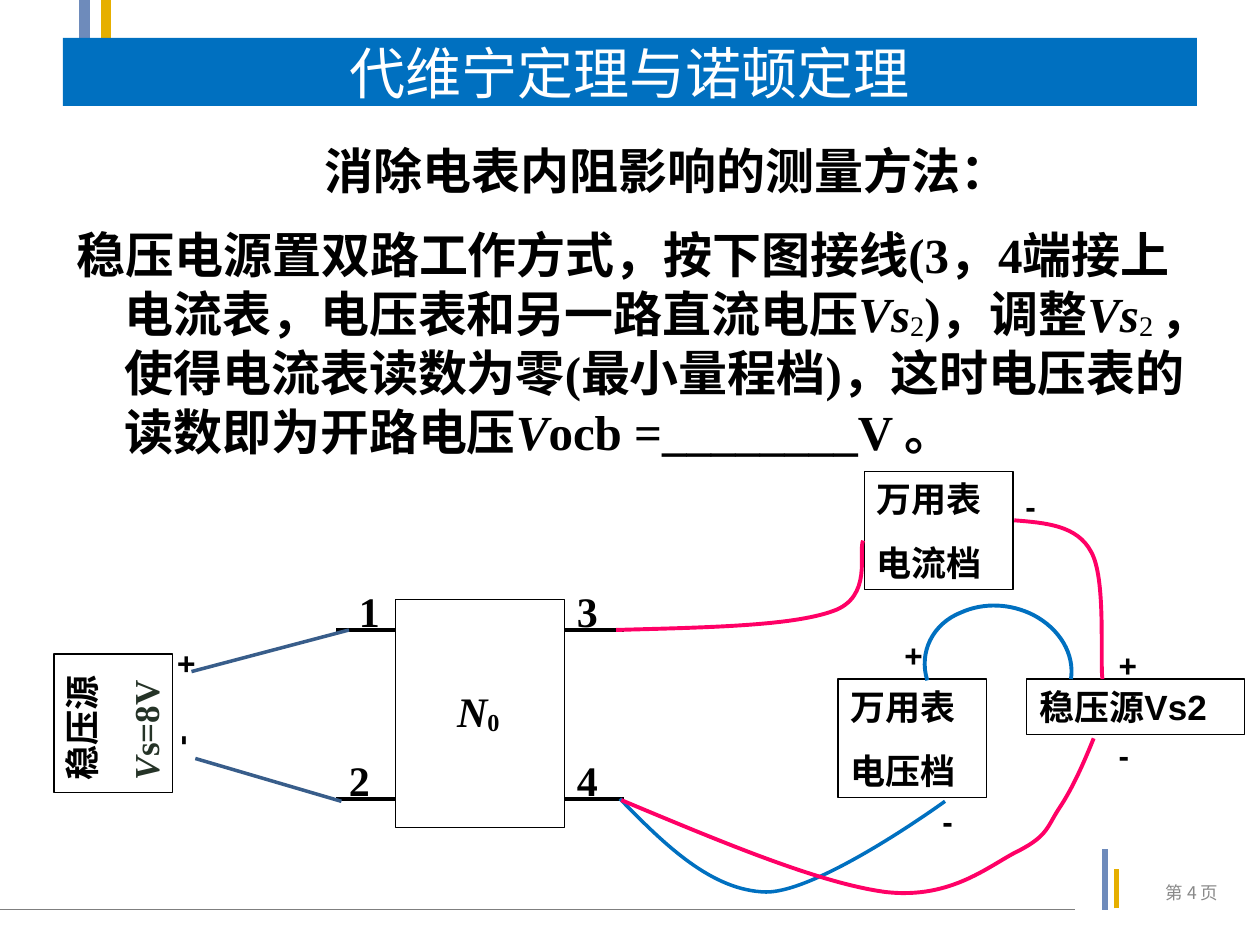
from dataclasses import dataclass

import lxml.etree
import pptx
import pptx.dml.color
import pptx.enum.shapes
import pptx.enum.text
import pptx.oxml.ns
import pptx.util

RGBColor = pptx.dml.color.RGBColor
Align = pptx.enum.text.PP_ALIGN
Anchor = pptx.enum.text.MSO_ANCHOR
qn = pptx.oxml.ns.qn

BLACK = RGBColor(0x00, 0x00, 0x00)
WHITE = RGBColor(0xFF, 0xFF, 0xFF)
BLUE = RGBColor(0x00, 0x70, 0xC0)
PINK = RGBColor(0xFF, 0x00, 0x66)
STEEL = RGBColor(0x38, 0x5D, 0x8A)
SOFT_BLUE = RGBColor(0x6E, 0x8B, 0xBB)
GOLD = RGBColor(0xE6, 0xAF, 0x00)
RULE_GRAY = RGBColor(0x7F, 0x7F, 0x7F)
PAGE_GRAY = RGBColor(0x89, 0x89, 0x89)
DARK_GREEN = RGBColor(0x25, 0x33, 0x27)

SANS, SERIF, CJK, CJK_JP = "Arial", "Times New Roman", "Noto Sans CJK SC", "Noto Sans CJK JP"

COLUMNS, ROWS = 100, 75  # square grid cells over the whole slide

presentation = pptx.Presentation()
presentation.slide_width = pptx.util.Inches(10)
presentation.slide_height = pptx.util.Inches(7.5)
slide = presentation.slides.add_slide(presentation.slide_layouts[6])

Point = tuple[float, float]
Area = tuple[float, float, float, float]  # left, top, width, height in cells


@dataclass
class Run:
    text: str
    italic: bool | None = None
    subscript: bool = False
    bold: bool | None = None


@dataclass
class Style:
    size: float
    font: str = SANS
    color: RGBColor = BLACK
    bold: bool = True
    before: float = 0
    align: Align = Align.LEFT
    spacing: float | None = None
    hanging: float = 0


METER = Style(20, before=12.5)
SIGN = Style(18, before=11.2)
TERMINAL = Style(24, SERIF, before=15)


def column(count: float) -> int:
    return round(presentation.slide_width * count / COLUMNS)


def row(count: float) -> int:
    return round(presentation.slide_height * count / ROWS)


def place(area: Area) -> tuple[int, int, int, int]:
    left, top, width, height = area
    return column(left), row(top), column(width), row(height)


def write_paragraph(paragraph, runs: list[Run], style: Style) -> None:
    paragraph.alignment = style.align
    paragraph.space_before = pptx.util.Pt(style.before)
    if style.spacing:
        paragraph.line_spacing = style.spacing
    font = paragraph.font
    font.size, font.bold = pptx.util.Pt(style.size), style.bold
    font.name, font.color.rgb = style.font, style.color
    properties = paragraph._p.get_or_add_pPr()
    east_asian = lxml.etree.SubElement(properties.find(qn("a:defRPr")), qn("a:ea"))
    east_asian.set("typeface", style.font if style.font == CJK_JP else CJK)
    if style.hanging:
        properties.set("marL", str(column(style.hanging)))
        properties.set("indent", str(-column(style.hanging)))
    for item in runs:
        run = paragraph.add_run()
        run.text = item.text
        run.font.italic, run.font.bold = item.italic, item.bold
        if item.subscript:
            run._r.get_or_add_rPr().set("baseline", "-10000")


def write_frame(shape, paragraphs: list[tuple[list[Run], Style]],
                anchor: Anchor = Anchor.TOP, wrap: bool = True) -> None:
    frame = shape.text_frame
    frame.word_wrap, frame.vertical_anchor = wrap, anchor
    for index, (runs, style) in enumerate(paragraphs):
        paragraph = frame.add_paragraph() if index else frame.paragraphs[0]
        write_paragraph(paragraph, runs, style)


def add_text(area: Area, runs: list[Run], style: Style, rotation: float = 0,
             anchor: Anchor = Anchor.TOP, wrap: bool = True) -> None:
    box = slide.shapes.add_textbox(*place(area))
    box.rotation = rotation
    write_frame(box, [(runs, style)], anchor, wrap)


def add_box(area: Area, fill: RGBColor | None = None, line: RGBColor | None = BLACK):
    box = slide.shapes.add_shape(pptx.enum.shapes.MSO_SHAPE.RECTANGLE, *place(area))
    box.shadow.inherit = False
    if fill is None:
        box.fill.background()
    else:
        box.fill.solid()
        box.fill.fore_color.rgb = fill
    if line is None:
        box.line.fill.background()
    else:
        box.line.color.rgb, box.line.width = line, pptx.util.Pt(0.75)
    return box


def add_line(start: Point, end: Point, color: RGBColor, width: float) -> None:
    line = slide.shapes.add_connector(
        pptx.enum.shapes.MSO_CONNECTOR.STRAIGHT,
        column(start[0]), row(start[1]), column(end[0]), row(end[1]))
    line.line.color.rgb, line.line.width = color, pptx.util.Pt(width)
    lxml.etree.SubElement(line.element.spPr, qn("a:effectLst"))


def add_curve(points: list[Point], color: RGBColor, width: float = 2.25) -> None:
    """Draw a start point followed by triples of cubic Bezier points."""
    start, *rest = [(column(x), row(y)) for x, y in points]
    builder = slide.shapes.build_freeform(*start)
    builder.add_line_segments(rest, close=False)
    shape = builder.convert_to_shape()
    shape.shadow.inherit = False
    shape.fill.background()
    shape.line.color.rgb, shape.line.width = color, pptx.util.Pt(width)
    segments = list(shape.element.iter(qn("a:lnTo")))
    for first in range(0, len(segments), 3):
        curve = lxml.etree.Element(qn("a:cubicBezTo"))
        segments[first].addprevious(curve)
        for segment in segments[first:first + 3]:
            curve.append(segment[0])
            segment.getparent().remove(segment)


# Slide decoration
add_line((-0.3, 72.2), (85.3, 72.2), RULE_GRAY, 0.75)
add_line((87.7, 72.2), (87.7, 67.4), SOFT_BLUE, 3)
add_line((88.6, 72.1), (88.6, 69), GOLD, 3)
add_line((6.7, 4.4), (6.7, -0.2), SOFT_BLUE, 6)
add_line((8.4, 0), (8.4, 3.1), GOLD, 6)

# Title and explanation
write_frame(add_box((5, 3, 90, 5.4), BLUE, None),
            [([Run("代维宁定理与诺顿定理")], Style(32, CJK, WHITE, False, align=Align.CENTER))],
            Anchor.MIDDLE)
add_text((24.8, 10.7, 56.3, 5.7), [Run("消除电表内阻影响的测量方法：")],
         Style(28, CJK_JP), wrap=False)
add_text((5.1, 17.3, 92.3, 51.2), [
    Run("稳压电源置双路工作方式，按下图接线(3，4端接上电流表，电压表和另一路直流电压"),
    Run("Vs", italic=True), Run("2", subscript=True, bold=False),
    Run(")，调整"),
    Run("Vs", italic=True), Run("2 ", subscript=True, bold=False),
    Run("，使得电流表读数为零(最小量程档)，这时电压表的读数即为开路电压"),
    Run("V", italic=True), Run("ocb =________V 。"),
], Style(28, SERIF, before=7, hanging=3.8))

# Meters and supplies
for area, labels in [
    ((66.5, 53.9, 11.8, 9.4), ("万用表", "电压档")),
    ((68.6, 37.4, 11.8, 9.4), ("万用表", "电流档")),
    ((81.5, 53.9, 17.3, 4.4), ("稳压源Vs2",)),
]:
    write_frame(add_box(area), [([Run(label)], METER) for label in labels])
supply = add_box((3.5, 52.7, 11, 9.4))
supply.rotation = 270
write_frame(supply, [
    ([Run("稳压源")], METER),
    ([Run("V", italic=True), Run("s=8V")], Style(20, SERIF, DARK_GREEN, before=12.5)),
])

# Network N0 with its four terminals
LEFT, RIGHT, STUB = 31.4, 44.8, 4.7
UPPER, LOWER = 50, 63.4
add_box((LEFT, 47.6, RIGHT - LEFT, 18.1), WHITE)
add_text((35.3, 53.9, 6.3, 5.1), [Run("N", italic=True), Run("0", subscript=True)], TERMINAL)
for number, label_left, stub_left, level in [
    ("1", 27.5, LEFT - STUB, UPPER), ("2", 26.7, LEFT - STUB, LOWER),
    ("3", RIGHT, RIGHT, UPPER), ("4", RIGHT, RIGHT, LOWER),
]:
    add_text((label_left, level - 4, STUB, 5), [Run(number)], TERMINAL)
    add_line((stub_left, level), (stub_left + STUB, level), BLACK, 2.25)

# Polarity signs
for sign, left, top, rotation in [
    ("+", 87.8, 50.8, 0), ("+", 70.8, 50, 0), ("-", 87.8, 57.9, 0), ("-", 80.4, 38.2, 0),
    ("-", 73.8, 63.2, 0), ("+", 13, 51, 90), ("-", 13, 57.3, 90),
]:
    add_text((left, top, 3.9, 4), [Run(sign)], SIGN, rotation)

# Wires
add_line((27.7, 50), (15.2, 53.3), STEEL, 2)
add_line((27.1, 63.6), (15.5, 60.2), STEEL, 2)
add_curve([(80.5, 41.3), (83, 41.5), (85.5, 41.7), (86.6, 43.8),
           (87.8, 45.9), (87.3, 52.2), (87.5, 53.9)], PINK)
add_curve([(48.9, 50), (55.9, 49.8), (62.8, 49.7), (66.1, 48.5),
           (69.3, 47.4), (68.1, 43.8), (68.5, 42.9)], PINK)
add_curve([(73.6, 54), (72.9, 51.8), (74, 49.5), (76.3, 48.6), (78.1, 47.8),
           (80.2, 47.9), (82, 48.8), (84.1, 49.9), (85.3, 51.9), (85, 53.9)], BLUE)
add_curve([(49.2, 63.4), (52.8, 67.1), (56.5, 70.7), (60.8, 70.8),
           (65.1, 70.8), (75, 63.6), (75, 63.6)], BLUE, 2)
add_curve([(49.3, 63.5), (57.2, 66.8), (65, 70.1), (70.3, 70.8),
           (75.6, 71.4), (78.6, 68.6), (80.9, 67.5), (83.2, 66.3),
           (83.1, 65.6), (84.1, 64.1), (85.1, 62.6), (86, 60.6), (86.8, 58.6)], PINK)

# Page number
add_text((89.2, 69.4, 10.8, 3.2), [Run("第 4 页")],
         Style(10, CJK, PAGE_GRAY, False, align=Align.CENTER, spacing=0.8), anchor=Anchor.MIDDLE)

presentation.save("out.pptx")
